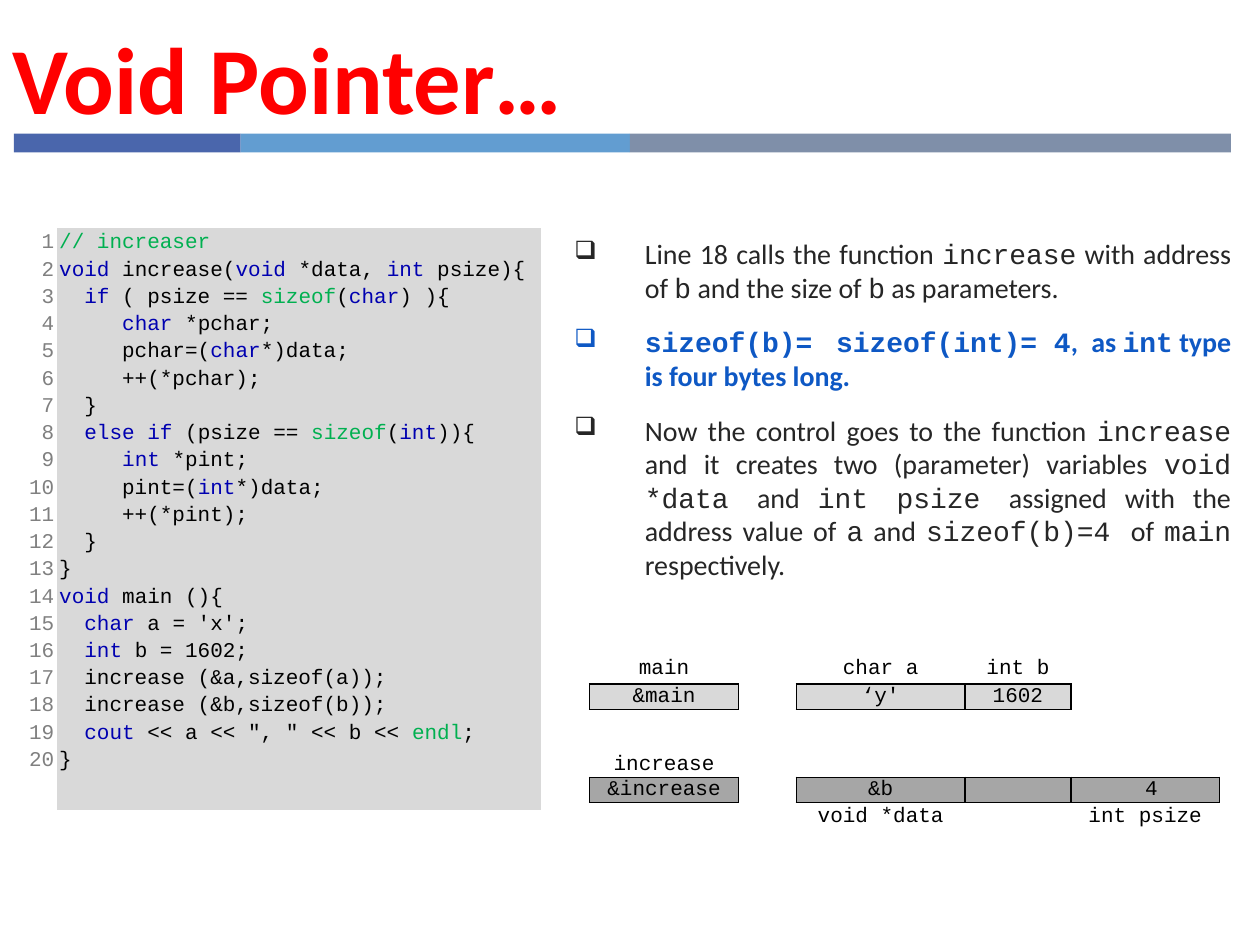
"""Build the Void Pointer slide: code listing, explanation and memory diagram."""
from dataclasses import dataclass

from lxml.etree import SubElement
from pptx import Presentation
from pptx.dml.color import RGBColor as Color
from pptx.enum.shapes import MSO_SHAPE as Shape
from pptx.enum.text import MSO_ANCHOR as Anchor, PP_ALIGN as Align
from pptx.oxml import parse_xml
from pptx.oxml.ns import nsdecls, qn
from pptx.util import Inches, Pt


@dataclass(frozen=True)
class Theme:
    sans: str = "Calibri"
    mono: str = "Courier New"
    title_size: Pt = Pt(54)
    body_size: Pt = Pt(16)
    code_size: Pt = Pt(12)
    blank_size: Pt = Pt(6)
    title: Color = Color.from_string("FF0000")
    body: Color = Color.from_string("262626")
    accent: Color = Color.from_string("0E58C4")
    number: Color = Color.from_string("808080")
    black: Color = Color.from_string("000000")
    keyword: Color = Color.from_string("0000B0")
    library: Color = Color.from_string("00B050")
    light: Color = Color.from_string("D9D9D9")
    dark: Color = Color.from_string("A6A6A6")
    bars: tuple = ("4A66AC", "629DD1", "7F8FA9")


def add_marked(para, text):
    """Add text as runs and yield each run with its mark: ` or ~ or nothing."""
    for i, part in enumerate(text.split("`")):
        for j, piece in enumerate(part.split("~")):
            if piece:
                span = para.add_run()
                span.text = piece
                yield span, "`" if i % 2 else "~" if j % 2 else ""


def add_plain_table(page, left, top, widths, heights):
    """Add a table without style, vertical margins or fills."""
    frame = page.shapes.add_table(len(heights), len(widths), Inches(left), Inches(top),
                                  Inches(sum(widths)), Inches(sum(heights)))
    table = frame.table
    table.first_row = table.horz_banding = False
    style = table._tbl.tblPr.find(qn("a:tableStyleId"))
    style.text = "{2D5ABB26-0587-4C30-8999-92F81FD0307C}"
    for column, width in zip(table.columns, widths):
        column.width = Inches(width)
    for row, height in zip(table.rows, heights):
        row.height = Inches(height)
    for cell in table.iter_cells():
        cell.margin_left = cell.margin_right = Inches(0.02)
        cell.margin_top = cell.margin_bottom = 0
        cell.fill.background()
    return table


theme = Theme()
nbsp = chr(160)
deck = Presentation()
deck.slide_width, deck.slide_height = Inches(10), Inches(7.5)
page = deck.slides.add_slide(deck.slide_layouts[6])

left = 0.11
for width, color in zip((1.8, 3.09, 4.77), theme.bars):
    bar = page.shapes.add_shape(Shape.RECTANGLE, Inches(left), Inches(1.06),
                                Inches(width), Inches(0.15))
    bar.shadow.inherit = False
    bar.fill.solid()
    bar.fill.fore_color.rgb = Color.from_string(color)
    bar.line.fill.background()
    left += width

points = (
    "Line 18 calls the function `increase` with address of `b` and the size of `b` as parameters. ",
    f"`sizeof(b)= sizeof(int)={nbsp}4`, as{nbsp}`int`{nbsp}type is four bytes long. ",
    "Now the control goes to the function `increase` and it creates two (parameter) variables "
    "`void *data `and `int psize `assigned with the address value of `a` and "
    "`sizeof(b)=4 `of `main` respectively.",
)
box = page.shapes.add_textbox(Inches(4.46), Inches(1.83), Inches(5.41), Inches(2.9))
box.text_frame.word_wrap = True
for i, point in enumerate(points):
    para = box.text_frame.add_paragraph() if i else box.text_frame.paragraphs[0]
    para.alignment = Align.JUSTIFY
    para.space_after = Pt(12)
    para.font.size = theme.body_size
    para.font.bold = i == 1
    para.font.color.rgb = theme.accent if i == 1 else theme.body
    layout = para._p.get_or_add_pPr()
    layout.set("marL", str(Inches(0.56)))
    layout.set("indent", str(-Inches(0.56)))
    defaults = layout.find(qn("a:defRPr"))
    for tag in ('buSzPct {} val="90000"', 'buChar {} char="❑"'):
        defaults.addprevious(parse_xml(f"<a:{tag.format(nsdecls('a'))}/>"))
    for span, mark in add_marked(para, point):
        span.font.name = theme.mono if mark else theme.sans

code = """~// increaser~
`void` increase(`void` *data, `int `psize){
  `if` ( psize == ~sizeof~(`char`) ){
     `char` *pchar;
     pchar=(`char`*)data;
     ++(*pchar);
  }
  `else if `(psize == ~sizeof~(`int`)){
     `int` *pint;
     pint=(`int`*)data;
     ++(*pint);
  }
}
`void` main (){
  `char` a = 'x';
  `int` b = 1602;
  increase (&a,sizeof(a));
  increase (&b,sizeof(b));
  `cout` << a << ", " << b << ~endl~;
}""".splitlines()
code_colors = {"": theme.black, "`": theme.keyword, "~": theme.library}
listing = add_plain_table(page, 0.14, 1.81, (0.31, 3.84), (4.62,))
numbers, source = listing.cell(0, 0), listing.cell(0, 1)
source.fill.solid()
source.fill.fore_color.rgb = theme.light
numbers.text = "\v".join(str(n) for n in range(1, len(code) + 1))
para = numbers.text_frame.paragraphs[0]
para.alignment = Align.RIGHT
para.line_spacing = 1.15
para.font.name, para.font.size = theme.mono, theme.code_size
para.font.color.rgb = theme.number
for i, line in enumerate(code):
    para = source.text_frame.add_paragraph() if i else source.text_frame.paragraphs[0]
    para.line_spacing = 1.15
    para.font.name, para.font.size = theme.mono, theme.code_size
    for span, mark in add_marked(para, line):
        span.font.color.rgb = code_colors[mark]

wide = (1, 2, 4, 3, 1)
memory_rows = (
    (wide, ("main", "", "char a", "int b", "")),
    (wide, ("&main", "", "‘y'", "1602", "")),
    ((1, 1, 1, 1, 2, 1, 1, 2, 1), ("",) * 9),
    (wide, ("",) * 5),
    ((1, 2, 2, 2, 2, 1, 1), ("increase",) + ("",) * 6),
    (wide, ("&increase", "", "&b", "", f"{nbsp}4")),
    (wide, ("", "", "void *data", "", "int psize")),
)
boxed = {1: (theme.light, (0, 3, 7)), 5: (theme.dark, (0, 3, 7, 10))}
memory = add_plain_table(page, 4.68, 5.18,
                         (1.18, 0.28, 0.18, 0.18, 0.52, 0.44, 0.2, 0.18, 0.24, 0.42, 1.18),
                         (0.25, 0.19, 0.19, 0.15, 0.19, 0.19, 0.22))
for cell in memory.iter_cells():
    SubElement(cell.text_frame.paragraphs[0]._p, qn("a:endParaRPr"),
               sz=str(int(theme.blank_size.pt * 100)))
for c in (0, 10):
    memory.cell(2, c).merge(memory.cell(3, c))
for r, (spans, texts) in enumerate(memory_rows):
    c = 0
    for width, text in zip(spans, texts):
        cell = memory.cell(r, c)
        if width > 1:
            cell.merge(memory.cell(r, c + width - 1))
        cell.vertical_anchor = Anchor.MIDDLE
        if text:
            para = cell.text_frame.paragraphs[0]
            para.text = text
            para.alignment = Align.CENTER
            para.font.name, para.font.size = theme.mono, theme.code_size
            para.font.color.rgb = theme.black
        fill, starts = boxed.get(r, (None, ()))
        if c in starts:
            for part in (memory.cell(r, c + i) for i in range(width)):
                part.fill.solid()
                part.fill.fore_color.rgb = fill
                for i, side in enumerate("LRTB"):
                    part._tc.tcPr.insert(i, parse_xml(
                        f'<a:ln{side} {nsdecls("a")} w="12700"><a:solidFill>'
                        f'<a:srgbClr val="{theme.black}"/></a:solidFill></a:ln{side}>'))
        c += width

box = page.shapes.add_textbox(0, Inches(0.11), Inches(7.16), Inches(1))
box.text_frame.word_wrap = True
para = box.text_frame.paragraphs[0]
para.text = "Void Pointer…"
para.font.name, para.font.size = theme.sans, theme.title_size
para.font.bold = True
para.font.color.rgb = theme.title

deck.save("out.pptx")
